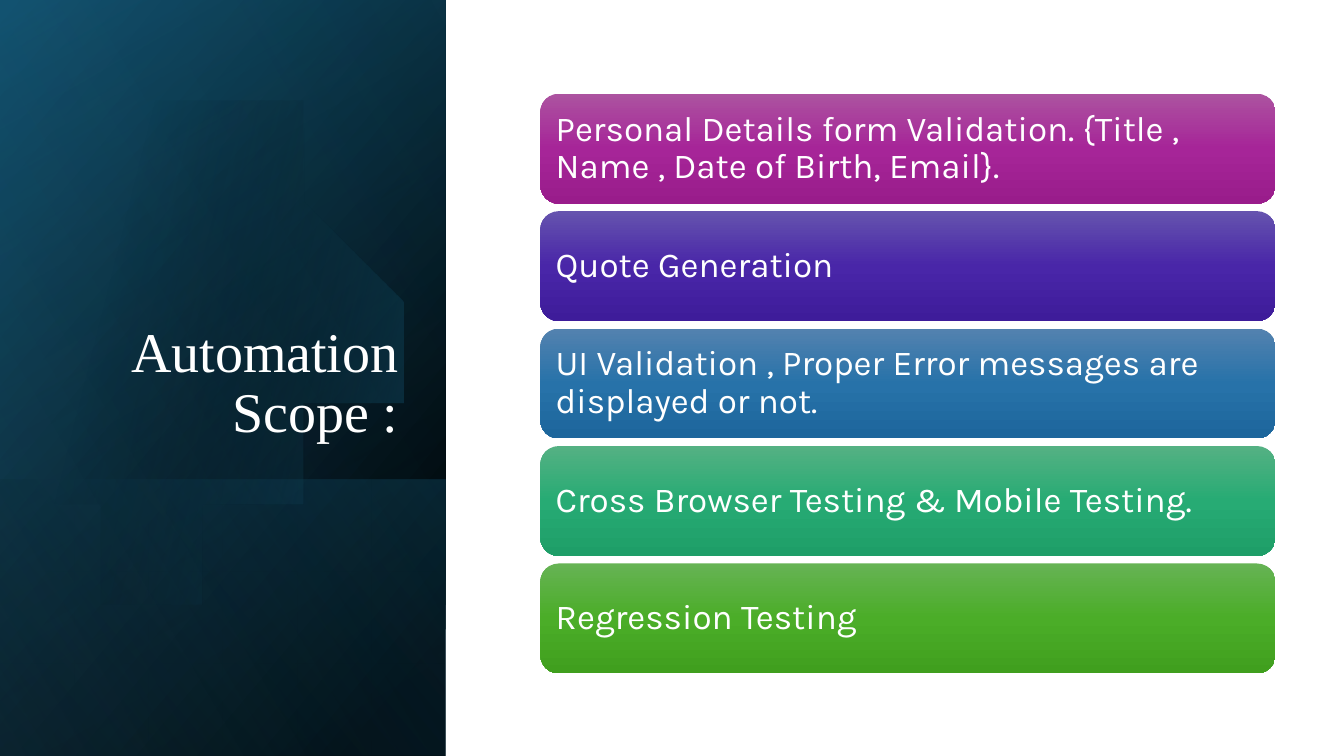
from dataclasses import dataclass

from lxml import etree
from pptx import Presentation
from pptx import util as u
from pptx.dml.color import RGBColor
from pptx.enum import shapes, text
from pptx.oxml import ns

COLORS = {
    "white": "FFFFFF", "black": "000000",
    "teal": "156082", "deep_teal": "104862", "sky": "46B1E1",
    "plum_light": "AC53A0", "plum": "A62598", "plum_dark": "991C8B",
    "violet_light": "6553AE", "violet": "4926A8", "violet_dark": "3E1C9A",
    "blue_light": "5382AF", "blue": "2772A9", "blue_dark": "1D669C",
    "jade_light": "54B183", "jade": "27AB74", "jade_dark": "1E9E68",
    "green_light": "66B354", "green": "4BAD28", "green_dark": "409F1E",
}
PANEL_WIDTH = 4.42
BAR_LEFT, BAR_WIDTH, BAR_HEIGHT = 5.36, 7.29, 1.09
FIRST_TOP, LAST_TOP = 0.93, 5.59
CURVE_STEPS = 24

Point = tuple[float, float]


@dataclass
class Stop:
    position: int
    color: str
    alpha: int = 100


@dataclass
class Panel:
    top: float
    height: float
    stops: list[Stop]
    angle: int


@dataclass
class Bar:
    label: str
    hue: str


PANELS = [
    Panel(0, 7.5, [Stop(8, "black"), Stop(100, "deep_teal")], 50),
    Panel(0, 7.5, [Stop(0, "black", 0), Stop(99, "teal", 46)], 30),
    Panel(4.76, 2.74, [Stop(2, "teal", 29), Stop(100, "black", 30)], 130),
]
SHEEN = Panel(0, 7.5, [Stop(0, "black", 0), Stop(99, "sky", 11)], 120)
DISC_STOPS = [Stop(29, "black", 0), Stop(100, "teal", 43)]
DISC_START = (1.49, 1.1)
DISC_RIGHT = [
    ((2.46, 1.12), (3.35, 1.77), (3.63, 2.75)),
    ((3.98, 3.97), (3.28, 5.23), (2.07, 5.58)),
    ((1.31, 5.8), (0.53, 5.61), (-0.03, 5.14)),
]
DISC_EDGE = [(-0.15, 5.03), (-0.15, 1.75), (0, 1.61)]
DISC_TOP = [
    ((0.23, 1.42), (0.5, 1.28), (0.8, 1.19)),
    ((1.03, 1.13), (1.26, 1.1), DISC_START),
]
BARS = [
    Bar("Personal Details form Validation. {Title , Name , Date of Birth, Email}.", "plum"),
    Bar("Quote Generation", "violet"),
    Bar("UI Validation , Proper Error messages are displayed or not.", "blue"),
    Bar("Cross Browser Testing & Mobile Testing.", "jade"),
    Bar("Regression Testing", "green"),
]


def fill_gradient(sp, stops: list[Stop], angle: int) -> None:
    sp.shadow.inherit = False
    sp.line.fill.background()
    sp.fill.gradient()
    grad = sp._element.spPr.find(ns.qn("a:gradFill"))
    for child in list(grad):
        grad.remove(child)
    grad.set("rotWithShape", "1")
    stop_list = etree.SubElement(grad, ns.qn("a:gsLst"))
    for stop in stops:
        gs = etree.SubElement(stop_list, ns.qn("a:gs"), pos=str(stop.position * 1000))
        color = etree.SubElement(gs, ns.qn("a:srgbClr"), val=COLORS[stop.color])
        if stop.alpha < 100:
            etree.SubElement(color, ns.qn("a:alpha"), val=str(stop.alpha * 1000))
    etree.SubElement(grad, ns.qn("a:lin"), ang=str(angle * 60000), scaled="0")


def add_panel(s, panel: Panel) -> None:
    left = (PANEL_WIDTH - panel.height) / 2
    top = panel.top + (panel.height - PANEL_WIDTH) / 2
    sp = s.shapes.add_shape(
        shapes.MSO_SHAPE.RECTANGLE, u.Inches(left), u.Inches(top),
        u.Inches(panel.height), u.Inches(PANEL_WIDTH))
    sp.rotation = 90
    sp._element.spPr.get_or_add_xfrm().set("flipH", "1")
    fill_gradient(sp, panel.stops, panel.angle)


def trace_curves(start: Point, curves: list[tuple[Point, Point, Point]]) -> list[Point]:
    points = []
    for c1, c2, end in curves:
        for step in range(1, CURVE_STEPS + 1):
            t = step / CURVE_STEPS
            weights = ((1 - t) ** 3, 3 * t * (1 - t) ** 2, 3 * t * t * (1 - t), t ** 3)
            corners = (start, c1, c2, end)
            points.append((sum(w * c[0] for w, c in zip(weights, corners)),
                           sum(w * c[1] for w, c in zip(weights, corners))))
        start = end
    return points


def add_disc(s) -> None:
    points = (trace_curves(DISC_START, DISC_RIGHT) + DISC_EDGE
              + trace_curves(DISC_EDGE[-1], DISC_TOP))
    builder = s.shapes.build_freeform(*DISC_START, scale=u.Inches(1))
    builder.add_line_segments(points, close=True)
    fill_gradient(builder.convert_to_shape(), DISC_STOPS, 14)


def write_text(sp, label: str, font: str, size: int, align, anchor) -> None:
    tf = sp.text_frame
    tf.word_wrap = True
    tf.vertical_anchor = anchor
    tf.text = label
    p = tf.paragraphs[0]
    p.alignment = align
    p.line_spacing = 0.9
    r = p.runs[0]
    r.font.name = font
    r.font.size = u.Pt(size)
    r.font.color.rgb = RGBColor.from_string(COLORS["white"])


def add_title(s) -> None:
    sp = s.shapes.add_textbox(u.Inches(0.64), u.Inches(1.84), u.Inches(3.41), u.Inches(2.62))
    write_text(sp, "Automation Scope :", "Times New Roman", 40,
               text.PP_ALIGN.RIGHT, text.MSO_ANCHOR.BOTTOM)


def add_bar(s, bar: Bar, top: float) -> None:
    sp = s.shapes.add_shape(
        shapes.MSO_SHAPE.ROUNDED_RECTANGLE, u.Inches(BAR_LEFT), u.Inches(top),
        u.Inches(BAR_WIDTH), u.Inches(BAR_HEIGHT))
    stops = [Stop(0, f"{bar.hue}_light"), Stop(50, bar.hue), Stop(100, f"{bar.hue}_dark")]
    fill_gradient(sp, stops, 90)
    write_text(sp, bar.label, "Karla", 25, text.PP_ALIGN.LEFT, text.MSO_ANCHOR.MIDDLE)


def main() -> None:
    prs = Presentation()
    prs.slide_width, prs.slide_height = u.Inches(13.33), u.Inches(7.5)
    s = prs.slides.add_slide(prs.slide_layouts[6])
    for panel in PANELS:
        add_panel(s, panel)
    add_disc(s)
    add_panel(s, SHEEN)
    add_title(s)
    pitch = (LAST_TOP - FIRST_TOP) / (len(BARS) - 1)
    for i, bar in enumerate(BARS):
        add_bar(s, bar, FIRST_TOP + i * pitch)
    prs.save("out.pptx")


if __name__ == "__main__":
    main()
